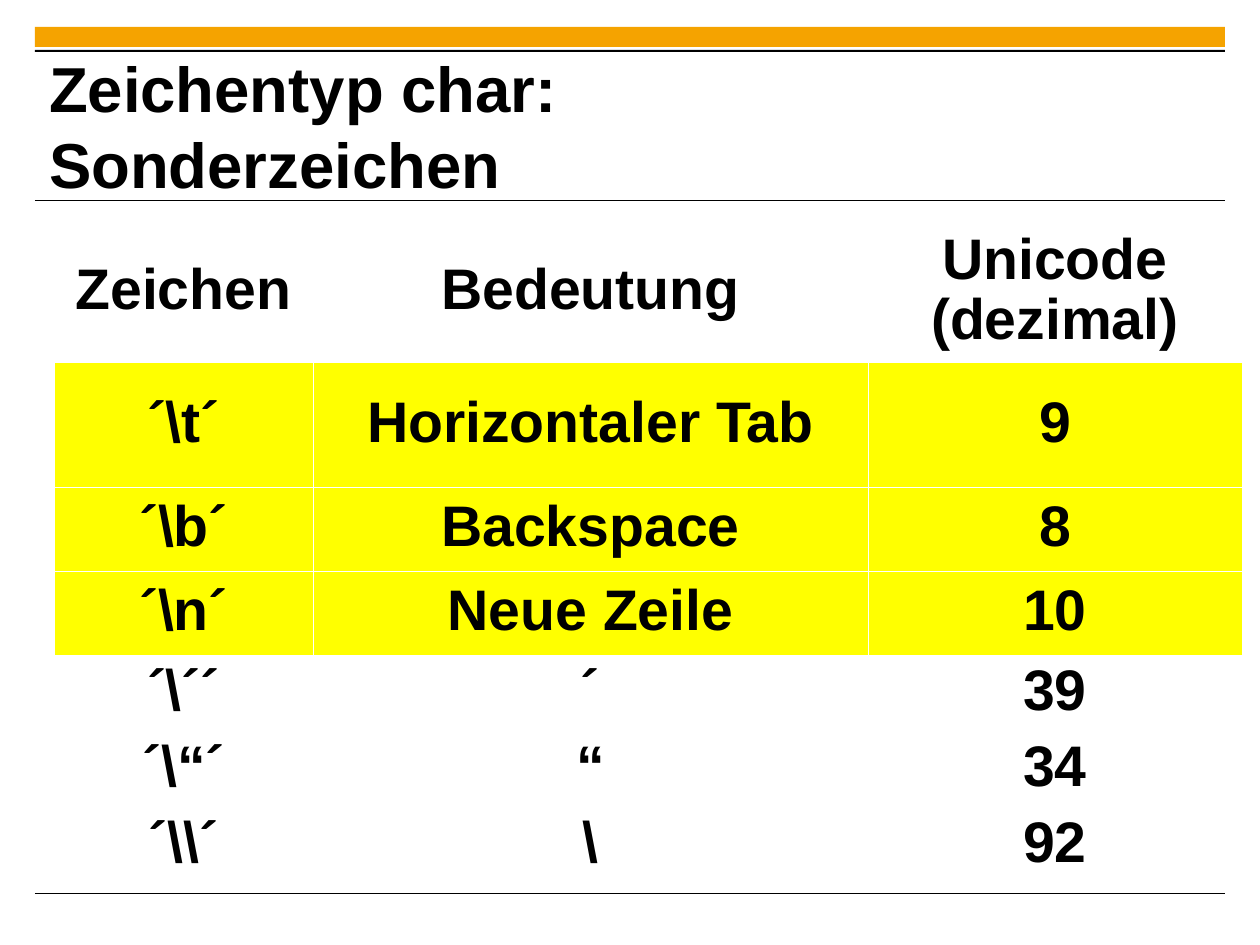
import pptx
import pptx.util
import pptx.dml.color
import pptx.enum.shapes
import pptx.enum.text
import pptx.oxml
import pptx.oxml.ns

PX = 8000
BLACK = "000000"
WHITE = "FFFFFF"
YELLOW = "FFFF00"
ORANGE = "F5A300"


def color(value):
    return pptx.dml.color.RGBColor.from_string(value)


def write(frame, text, size, align, spacing=1.0):
    frame.word_wrap = True
    para = frame.paragraphs[0]
    para.alignment = align
    para.line_spacing = spacing
    span = para.add_run()
    span.text = text
    span.font.name = "Arial"
    span.font.size = pptx.util.Pt(size)
    span.font.bold = True
    span.font.color.rgb = color(BLACK)


deck = pptx.Presentation()
deck.slide_width = 1260 * PX
deck.slide_height = 945 * PX
page = deck.slides.add_slide(deck.slide_layouts[6])

for top, height, fill in [(27, 20, ORANGE), (50, 2, BLACK)]:
    bar = page.shapes.add_shape(
        pptx.enum.shapes.MSO_SHAPE.RECTANGLE, 35 * PX, top * PX, 1190 * PX, height * PX
    )
    bar.shadow.inherit = False
    bar.fill.solid()
    bar.fill.fore_color.rgb = color(fill)
    bar.line.fill.background()

for y in [200, 894]:
    rule = page.shapes.add_connector(
        pptx.enum.shapes.MSO_CONNECTOR.STRAIGHT, 35 * PX, y * PX, 1225 * PX, y * PX
    )
    rule.line.color.rgb = color(BLACK)
    rule.line.width = pptx.util.Pt(0.6)
    properties = rule.element.find(pptx.oxml.ns.qn("p:spPr"))
    properties.append(properties.makeelement(pptx.oxml.ns.qn("a:effectLst"), {}))

title = page.shapes.add_textbox(49 * PX, 67 * PX, 948 * PX, 116 * PX).text_frame
title.margin_left = title.margin_right = title.margin_top = title.margin_bottom = 0
title.vertical_anchor = pptx.enum.text.MSO_ANCHOR.MIDDLE
write(title, "Zeichentyp char: Sonderzeichen", 40, pptx.enum.text.PP_ALIGN.LEFT)

widths = [259, 555, 374]
rows = [
    (141, WHITE, ["Zeichen", "Bedeutung", "Unicode (dezimal)"]),
    (125, YELLOW, ["´\\t´", "Horizontaler Tab", "9"]),
    (84, YELLOW, ["´\\b´", "Backspace", "8"]),
    (84, YELLOW, ["´\\n´", "Neue Zeile", "10"]),
    (71, WHITE, ["´\\´´", "´", "39"]),
    (71, WHITE, ["´\\“´", "“", "34"]),
    (71, WHITE, ["´\\\\´", "\\", "92"]),
]
total = sum(height for height, fill, texts in rows)
table = page.shapes.add_table(
    len(rows), len(widths), 54 * PX, 221 * PX, sum(widths) * PX, total * PX
).table
table.first_row = False
table.horz_banding = False
for column, width in zip(table.columns, widths):
    column.width = width * PX

for row_index, (height, fill, texts) in enumerate(rows):
    table.rows[row_index].height = height * PX
    for column_index, text in enumerate(texts):
        cell = table.cell(row_index, column_index)
        cell.vertical_anchor = pptx.enum.text.MSO_ANCHOR.MIDDLE
        cell.margin_left = cell.margin_right = 11 * PX
        cell.margin_top = cell.margin_bottom = 6 * PX
        write(cell.text_frame, text, 36, pptx.enum.text.PP_ALIGN.CENTER, spacing=0.93)
        properties = cell._tc.get_or_add_tcPr()
        for side in ["L", "R", "T", "B"]:
            under_header = (row_index, side) in [(0, "B"), (1, "T")]
            weight = pptx.util.Pt(1.47 if under_header else 0.45)
            properties.append(pptx.oxml.parse_xml(
                f'<a:ln{side} {pptx.oxml.ns.nsdecls("a")} w="{weight}">'
                f'<a:solidFill><a:srgbClr val="{WHITE}"/></a:solidFill></a:ln{side}>'
            ))
        cell.fill.solid()
        cell.fill.fore_color.rgb = color(fill)

deck.save("out.pptx")
